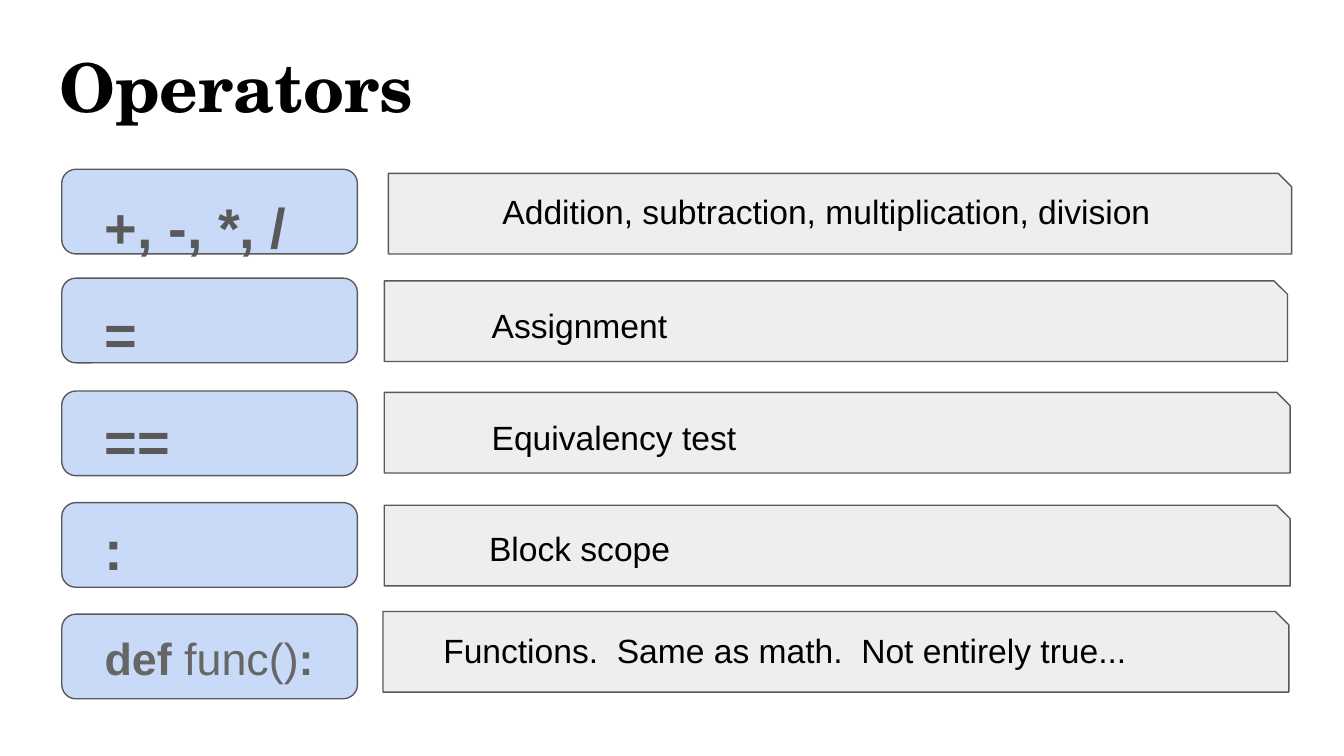
from pptx import Presentation
from pptx.dml.color import RGBColor
from pptx.enum.shapes import MSO_SHAPE as Shape
from pptx.enum.text import MSO_ANCHOR as Anchor, MSO_AUTO_SIZE as AutoSize, PP_ALIGN as Align
from pptx.oxml.xmlchemy import OxmlElement
from pptx.util import Inches, Pt

COLORS = {
    "pill": "C9DAF8",
    "note": "EEEEEE",
    "outline": "595959",
    "operator": "595959",
    "function": "666666",
    "text": "000000",
}
COLUMNS, ROWS = 100, 56.25  # grid of tenths of an inch on a 16:9 slide

# operator, pill top, note (left, top, width), caption, caption (left, top)
OPERATORS = [
    ("+, -, *, /", 12.6, (28.9, 12.9, 67.2),
     "Addition, subtraction, multiplication, division", (36.4, 13.2)),
    ("=", 20.7, (28.6, 20.9, 67.2), "Assignment", (35.6, 21.7)),
    ("==", 29.1, (28.6, 29.2, 67.4), "Equivalency test", (35.6, 30)),
    (":", 37.4, (28.6, 37.6, 67.4), "Block scope", (35.4, 38.3)),
    (None, 45.7, (28.5, 45.5, 67.4),
     "Functions.  Same as math.  Not entirely true...", (32, 45.9)),
]


def rgb(name):
    return RGBColor.from_string(COLORS[name])


def write(paragraph, text, size=18, color="text", bold=False, font="Arial"):
    """Add one formatted run to a paragraph."""
    run = paragraph.add_run()
    run.text = text
    run.font.name = font
    run.font.size = Pt(size)
    run.font.bold = bold
    run.font.color.rgb = rgb(color)


class SlideBuilder:
    def __init__(self, presentation):
        self.width = presentation.slide_width
        self.height = presentation.slide_height
        self.slide = presentation.slides.add_slide(presentation.slide_layouts[1])

    def place(self, left, top, width, height):
        """Turn columns and rows into slide lengths."""
        return (round(left / COLUMNS * self.width), round(top / ROWS * self.height),
                round(width / COLUMNS * self.width), round(height / ROWS * self.height))

    def panel(self, kind, color, *area):
        shape = self.slide.shapes.add_shape(kind, *self.place(*area))
        shape.shadow.inherit = False
        shape.adjustments[0] = 0.167
        shape.fill.solid()
        shape.fill.fore_color.rgb = rgb(color)
        shape.line.color.rgb = rgb("outline")
        shape.line.width = Pt(0.75)

    def prepare(self, shape):
        """Give a text frame the common margins and top anchor."""
        frame = shape.text_frame
        frame.word_wrap = True
        frame.auto_size = AutoSize.NONE
        frame.vertical_anchor = Anchor.TOP
        frame.margin_left = frame.margin_right = Inches(0.1)
        frame.margin_top = frame.margin_bottom = Inches(0.1)
        return frame

    def placeholder(self, shape, *area):
        """Move a placeholder into its area and in front of the panels."""
        shape.left, shape.top, shape.width, shape.height = self.place(*area)
        self.slide.shapes.element.append(shape.element)
        return self.prepare(shape)

    def title(self, text, *area):
        paragraph = self.placeholder(self.slide.shapes.title, *area).paragraphs[0]
        paragraph.alignment = Align.LEFT
        write(paragraph, text, size=36, bold=True, font="TeX Gyre Schola")

    def operator_list(self, items, *area):
        frame = self.placeholder(self.slide.placeholders[1], *area)
        for index, item in enumerate(items):
            paragraph = frame.add_paragraph() if index else frame.paragraphs[0]
            paragraph.alignment = Align.LEFT
            paragraph.line_spacing = 1.15
            paragraph.space_before = Pt(0)
            paragraph.space_after = Pt(16)
            properties = paragraph._p.get_or_add_pPr()
            properties.set("marL", "0")
            properties.set("indent", "0")
            properties.append(OxmlElement("a:buNone"))
            write(paragraph, item, size=30, color="operator", bold=True)

    def label(self, runs, *area, **style):
        """Add a text box with one line made of (text, bold) runs."""
        box = self.slide.shapes.add_textbox(*self.place(*area))
        paragraph = self.prepare(box).paragraphs[0]
        for text, bold in runs:
            write(paragraph, text, bold=bold, **style)


def main():
    presentation = Presentation()
    presentation.slide_width = Inches(10)
    presentation.slide_height = Inches(10 * 9 / 16)
    builder = SlideBuilder(presentation)

    # Panels
    for _, pill_top, (left, top, width), _, _ in OPERATORS:
        builder.panel(Shape.ROUNDED_RECTANGLE, "pill", 4.6, pill_top, 22, 6.3)
        builder.panel(Shape.SNIP_1_RECTANGLE, "note", left, top, width, 6)

    # Title and operators
    builder.title("Operators", 3.4, 2.4, 93.2, 6.3)
    builder.operator_list([row[0] for row in OPERATORS if row[0]], 6.8, 12.6, 18.4, 30.2)
    builder.label([("def", True), (" func()", False), (":", True)],
                  6.8, 45.9, 18.4, 6.9, size=24, color="function")

    # Captions
    for *_, caption, (left, top) in OPERATORS:
        builder.label([(caption, False)], left, top, 60.5, 5.3)

    presentation.save("out.pptx")


if __name__ == "__main__":
    main()
